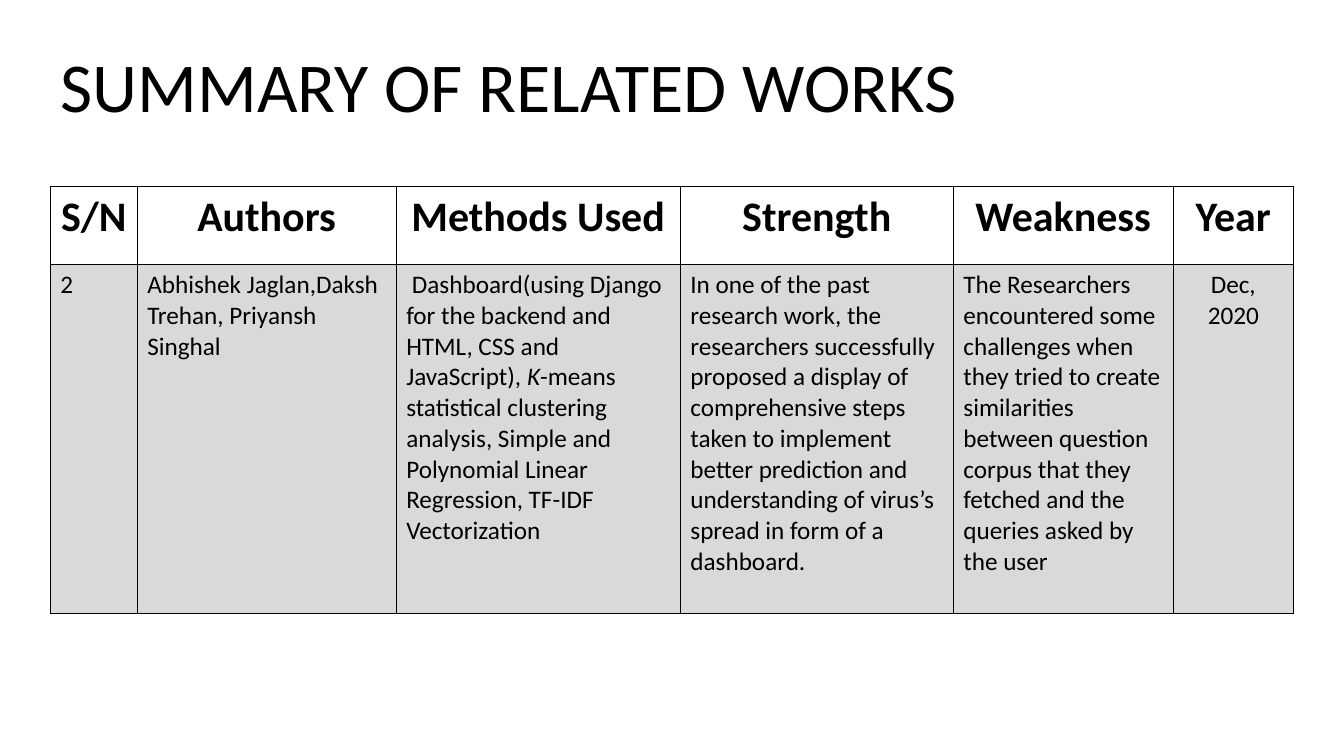
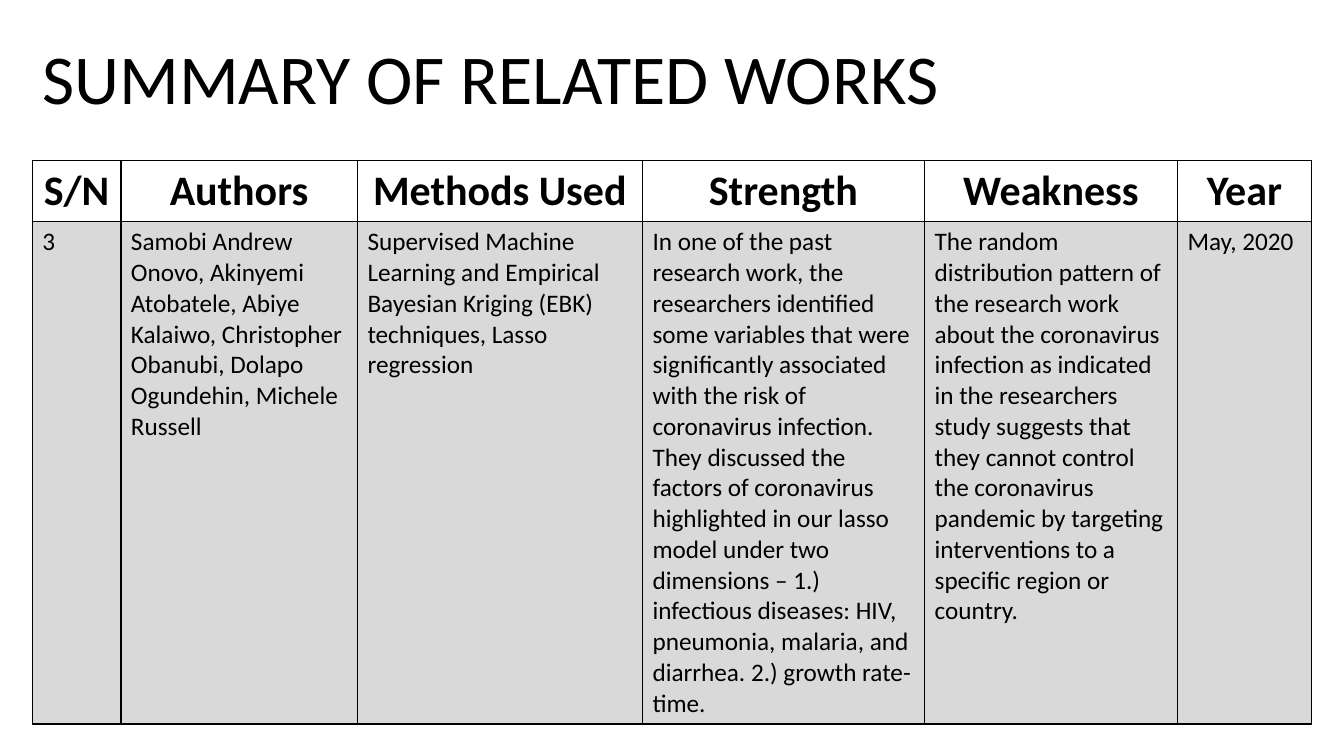
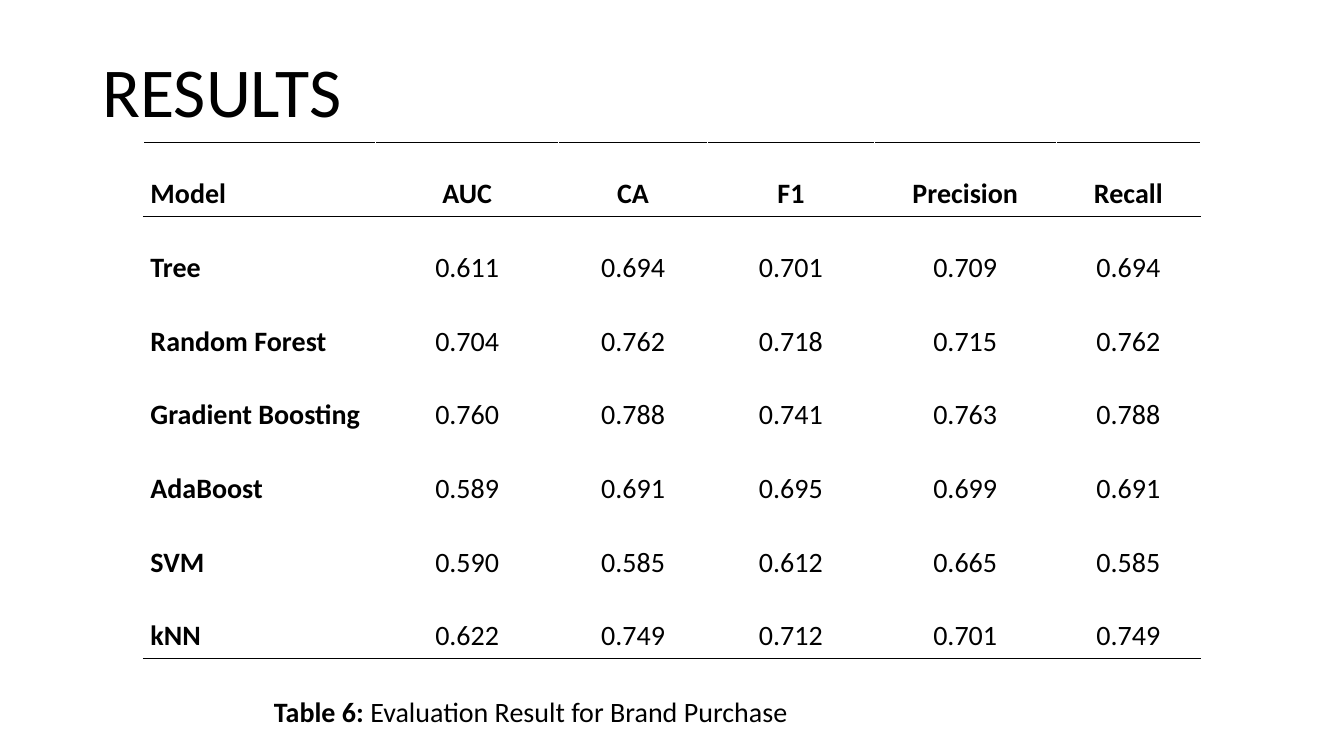
import pptx
import pptx.util
import pptx.dml.color
import pptx.enum.text
import pptx.oxml
import pptx.oxml.ns

Pt = pptx.util.Pt
ALIGN = pptx.enum.text.PP_ALIGN
ANCHOR = pptx.enum.text.MSO_ANCHOR
AUTO_SIZE = pptx.enum.text.MSO_AUTO_SIZE

HEADINGS = ["S/N", "Authors", "Methods Used", "Strength", "Weakness", "Year"]


class Deck:
    font = "Calibri"
    colors = {"ink": "000000", "paper": "FFFFFF", "shade": "D9D9D9"}

    def __init__(self, width, height):
        self.prs = pptx.Presentation()
        self.prs.slide_width = Pt(width)
        self.prs.slide_height = Pt(height)

    def color(self, name):
        return pptx.dml.color.RGBColor.from_string(self.colors[name])

    def slide(self, title, left, top):
        self.s = self.prs.slides.add_slide(self.prs.slide_layouts[5])
        sp = self.s.shapes.title
        sp.left, sp.top, sp.width, sp.height = Pt(left), Pt(top), Pt(828), Pt(82.8)
        tf = sp.text_frame
        tf.vertical_anchor = ANCHOR.MIDDLE
        tf.auto_size = AUTO_SIZE.NONE
        self.set_text(tf, [title], 50, spacing=0.9)

    def set_text(self, tf, paragraphs, size, bold=False, align=ALIGN.LEFT, spacing=None, after=None):
        tf.word_wrap = True
        for i, runs in enumerate(paragraphs):
            p = tf.add_paragraph() if i else tf.paragraphs[0]
            p.alignment = align
            if spacing:
                p.line_spacing = spacing
            if after is not None:
                p.space_after = Pt(after)
            p.font.name = self.font
            p.font.size = Pt(size)
            p.font.bold = bold
            p.font.color.rgb = self.color("ink")
            for text, style in [(runs, "")] if isinstance(runs, str) else runs:
                r = p.add_run()
                r.text = text
                if style == "bold":
                    r.font.bold = True
                elif style == "italic":
                    r.font.italic = True

    def text(self, left, top, width, height, runs, size):
        sp = self.s.shapes.add_textbox(Pt(left), Pt(top), Pt(width), Pt(height))
        sp.text_frame.auto_size = AUTO_SIZE.SHAPE_TO_FIT_TEXT
        self.set_text(sp.text_frame, [runs], size)

    def table(self, left, top, widths, heights):
        frame = self.s.shapes.add_table(
            len(heights), len(widths), Pt(left), Pt(top), Pt(sum(widths)), Pt(sum(heights)))
        table = frame.table
        table.first_row = table.horz_banding = False
        for column, width in zip(table.columns, widths):
            column.width = Pt(width)
        for row, height in zip(table.rows, heights):
            row.height = Pt(height)
        return table

    def borders(self, cell, left, right, top, bottom):
        tcPr = cell._tc.get_or_add_tcPr()
        for side, name in zip("LRTB", (left, right, top, bottom)):
            tcPr.append(pptx.oxml.parse_xml(
                f'<a:ln{side} {pptx.oxml.ns.nsdecls("a")} w="{Pt(1)}"><a:solidFill>'
                f'<a:srgbClr val="{self.colors[name]}"/></a:solidFill></a:ln{side}>'))

    def works_table(self, left, top, widths, heights, work, year_align):
        table = self.table(left, top, widths, heights)
        for row, texts in enumerate([[[h] for h in HEADINGS], work]):
            for col, paragraphs in enumerate(texts):
                cell = table.cell(row, col)
                self.borders(cell, *["ink"] * 4)
                cell.fill.solid()
                cell.fill.fore_color.rgb = self.color("shade" if row else "paper")
                if row:
                    align = year_align if col == len(texts) - 1 else ALIGN.LEFT
                    self.set_text(cell.text_frame, paragraphs, 18, align=align)
                else:
                    self.set_text(cell.text_frame, paragraphs, 30, True, ALIGN.CENTER)

    def results_table(self, left, top, widths, row_height, rows):
        table = self.table(left, top, widths, [row_height] * len(rows))
        last = len(rows) - 1
        for row, texts in enumerate(rows):
            for col, text in enumerate(texts):
                cell = table.cell(row, col)
                self.borders(cell, "paper", "paper",
                             "ink" if row < 2 else "paper",
                             "ink" if row in (0, last) else "paper")
                cell.fill.background()
                cell.margin_left = cell.margin_right = Pt(5)
                cell.margin_top = cell.margin_bottom = 0
                self.set_text(cell.text_frame, [text], 20, row == 0 or col == 0,
                              ALIGN.CENTER if col else ALIGN.JUSTIFY, 2.0, 10)


def main():
    deck = Deck(960, 540)

    deck.slide("SUMMARY OF RELATED WORKS", 36, 23)
    deck.works_table(36, 133, [62, 185, 203, 195, 157, 86], [56, 249], [
        ["2"],
        ["Abhishek Jaglan,Daksh Trehan, Priyansh Singhal"],
        [[(" Dashboard(using Django for the backend and HTML, CSS and JavaScript), ", ""),
          ("K", "italic"),
          ("-means statistical clustering analysis, Simple and Polynomial Linear "
           "Regression, TF-IDF Vectorization", "")]],
        ["In one of the past research work, the researchers successfully proposed a display "
         "of comprehensive steps taken to implement better prediction and understanding of "
         "virus’s spread in form of a dashboard."],
        ["The Researchers encountered some challenges when they tried to create similarities "
         "between question corpus that they fetched and the queries asked by the user"],
        ["Dec, 2020"],
    ], ALIGN.CENTER)

    deck.slide("SUMMARY OF RELATED WORKS", 23, 17.3)
    deck.works_table(23, 114.5, [63.4, 169, 203.6, 201.5, 180.7, 95.6], [44, 358], [
        ["3"],
        ["Samobi Andrew ",
         "Onovo, Akinyemi Atobatele, Abiye Kalaiwo, Christopher Obanubi, Dolapo "
         "Ogundehin, Michele Russell"],
        ["Supervised Machine Learning and Empirical Bayesian Kriging (EBK) techniques, "
         "Lasso regression"],
        ["In one of the past research work, the researchers identified some variables that "
         "were significantly associated with the risk of coronavirus infection. They "
         "discussed the factors of coronavirus highlighted in our lasso model under two "
         "dimensions – 1.) infectious diseases: HIV, pneumonia, malaria, and diarrhea. "
         "2.) growth rate- time."],
        ["The random",
         "distribution pattern of the research work about the coronavirus infection as "
         "indicated in the researchers study suggests that they cannot control the "
         "coronavirus pandemic by targeting interventions to a specific region or country."],
        ["May, 2020"],
    ], ALIGN.LEFT)

    deck.slide("RESULTS", 66, 26)
    deck.text(188.6, 492.5, 582.5, 31.7,
              [("Table 6: ", "bold"), ("Evaluation Result for Brand Purchase", "")], 20)
    deck.results_table(102.5, 102, [166, 130.5, 106.5, 119, 130, 103], 52.66, [
        ["Model", "AUC", "CA", "F1", "Precision", "Recall"],
        ["Tree", "0.611", "0.694", "0.701", "0.709", "0.694"],
        ["Random Forest", "0.704", "0.762", "0.718", "0.715", "0.762"],
        ["Gradient Boosting", "0.760", "0.788", "0.741", "0.763", "0.788"],
        ["AdaBoost", "0.589", "0.691", "0.695", "0.699", "0.691"],
        ["SVM", "0.590", "0.585", "0.612", "0.665", "0.585"],
        ["kNN", "0.622", "0.749", "0.712", "0.701", "0.749"],
    ])

    deck.prs.save("out.pptx")


if __name__ == "__main__":
    main()
